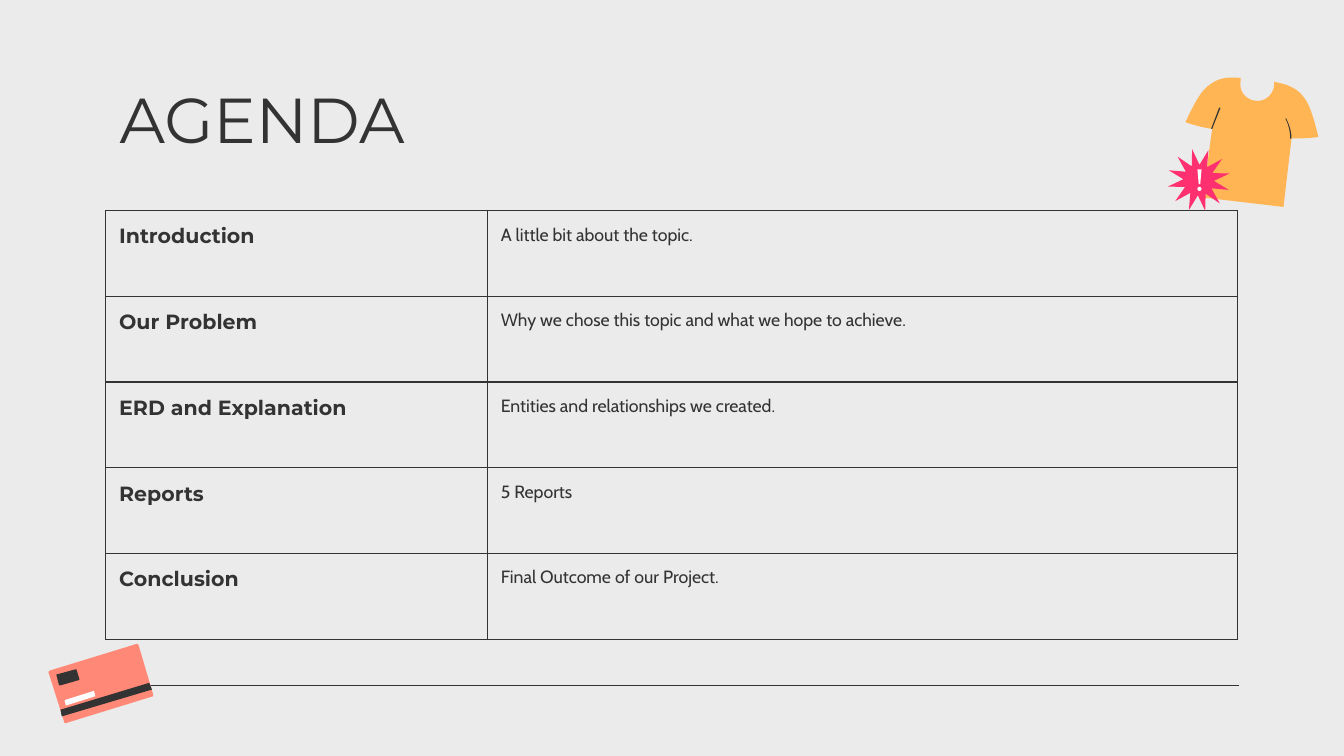
"""Build the agenda slide: title, five-row table and shop drawings."""
from math import cos, radians, sin

from lxml import etree
from pptx import Presentation
from pptx.dml.color import RGBColor
from pptx.enum import shapes, text
from pptx.oxml import ns
from pptx.util import Pt

DARK = RGBColor(0x33, 0x33, 0x33)
PALE = RGBColor(0xEB, 0xEB, 0xEB)
GOLD = RGBColor(0xFF, 0xB5, 0x54)
PINK = RGBColor(0xFF, 0x30, 0x70)
CORAL = RGBColor(0xFF, 0x88, 0x76)
WHITE = RGBColor(0xFF, 0xFF, 0xFF)

HEAD = {"name": "Montserrat", "size": Pt(34), "bold": False}
TOPIC = {"name": "Montserrat", "size": Pt(11), "bold": True}
NOTE = {"name": "Cabin", "size": Pt(9.5), "bold": False}
PAD = Pt(7.2)

AGENDA = [
    ("Introduction", "A little bit about the topic."),
    ("Our Problem", "Why we chose this topic and what we hope to achieve."),
    ("ERD and Explanation", "Entities and relationships we created."),
    ("Reports", "5 Reports"),
    ("Conclusion", "Final Outcome of our Project."),
]

# A pair is a corner; six numbers are a curve: two handles and an end.
SHIRT = [
    (664.6, 41.8),
    (656.6, 41, 650.2, 41.8, 643.7, 49.7),
    (640.1, 54.7, 637.9, 59.8, 635, 65.5),
    (639.4, 67, 644.4, 68.4, 649.4, 69.1),
    (644.4, 105.8), (687.6, 110.9), (691.9, 74.2),
    (696.2, 74.2, 701.3, 74.2, 706.3, 73.4),
    (704.9, 67.7, 703.4, 61.9, 701.3, 56.9),
    (697, 47.5, 690.5, 45.4, 682.6, 43.9),
    (682.6, 46.1),
    (681.8, 51.1, 677.5, 54.7, 672.5, 54),
    (667.4, 53.3, 663.8, 49, 664.6, 43.9),
]
LEFT_SEAM = [(653.2, 57.6), (648.8, 69.1), (649.4, 69.1), (653.8, 58)]
RIGHT_SEAM = [
    (688.6, 63.4), (690.5, 67, 691.2, 70.6, 691.2, 74.2),
    (691.9, 74.2), (691.9, 69.8, 690.5, 66.2, 689, 63.4),
]
STEM = [(641.5, 90.7), (642.2, 98.6), (643, 98.6), (643.7, 90.7)]
CARD = [(73.4, 344.9), (26.6, 359.3), (25.9, 360), (34.6, 387.4),
        (35.3, 387.4), (82.1, 373), (82.1, 372.2), (74.2, 345.6)]
STRIPE = [(79.9, 365.8), (32.4, 380.2), (33.1, 383.8), (81.4, 369.4)]
CHIP = [(40.3, 358.6), (30.2, 361.4), (31.7, 367.2), (32.4, 367.2),
        (42.5, 364.3), (42.5, 363.6), (41, 358.6)]
LABEL = [(50.4, 370.1), (34.6, 375.1), (35.3, 378), (51.1, 373)]


def star(x, y, tips, outer, inner, turn=0):
    """Return the corners of a star; equal radii give a round dot."""
    step = 180 / tips
    return [(x + r * cos(a), y + r * sin(a))
            for i in range(2 * tips)
            for r, a in [((outer, inner)[i % 2], radians(turn + i * step))]]


def trace(path, steps=12):
    """Turn corners and curves into a list of points in EMU."""
    dots = []
    for part in path:
        if len(part) == 2:
            dots.append(part)
            continue
        pts = [dots[-1], part[:2], part[2:4], part[4:]]
        for i in range(1, steps + 1):
            t = i / steps
            mix = ((1 - t) ** 3, 3 * t * (1 - t) ** 2, 3 * t * t * (1 - t), t ** 3)
            dots.append(tuple(sum(m * p[k] for m, p in zip(mix, pts)) for k in (0, 1)))
    return [(Pt(x), Pt(y)) for x, y in dots]


def draw(group, color, *paths):
    """Add one filled outline made of closed paths."""
    first, *rest = [trace(path) for path in paths]
    pen = group.shapes.build_freeform(*first[0])
    pen.add_line_segments(first[1:])
    for dots in rest:
        pen.move_to(*dots[0])
        pen.add_line_segments(dots[1:])
    shape = pen.convert_to_shape()
    shape.shadow.inherit = False
    shape.fill.solid()
    shape.fill.fore_color.rgb = color
    shape.line.fill.background()


def write(frame, words, form):
    """Write left-aligned words in the given format."""
    frame.text = words
    para = frame.paragraphs[0]
    para.alignment = text.PP_ALIGN.LEFT
    font = para.runs[0].font
    for key, value in form.items():
        setattr(font, key, value)
    font.color.rgb = DARK


def pad(box):
    """Set equal margins on a cell or text frame and anchor it at the top."""
    for side in ("left", "top", "right", "bottom"):
        setattr(box, f"margin_{side}", PAD)
    box.vertical_anchor = text.MSO_ANCHOR.TOP


def border(cell):
    """Rule all four sides of a cell."""
    props = cell._tc.get_or_add_tcPr()
    for side in "LRTB":
        line = etree.SubElement(props, ns.qn(f"a:ln{side}"), w=str(Pt(0.75)))
        fill = etree.SubElement(line, ns.qn("a:solidFill"))
        etree.SubElement(fill, ns.qn("a:srgbClr"), val=str(DARK))


def add_title(slide):
    """Place the title."""
    title = slide.shapes.title
    title.left, title.top, title.width, title.height = Pt(56.9), Pt(35.6), Pt(607), Pt(45.4)
    write(title.text_frame, "AGENDA", HEAD)
    pad(title.text_frame)
    title.text_frame.auto_size = text.MSO_AUTO_SIZE.NONE


def add_rule(slide):
    """Draw the line at the foot."""
    rule = slide.shapes.add_connector(
        shapes.MSO_CONNECTOR.STRAIGHT, Pt(663.9), Pt(367.2), Pt(57.6), Pt(367.2))
    rule.line.color.rgb = DARK
    rule.line.width = Pt(0.75)
    etree.SubElement(rule._element.spPr, ns.qn("a:effectLst"))


def add_agenda(slide):
    """Add the table of topics and notes."""
    wide, high = (204.5, 401.9), 45.94
    table = slide.shapes.add_table(
        len(AGENDA), 2, Pt(56.6), Pt(112.8), Pt(sum(wide)), Pt(high * len(AGENDA))).table
    table.first_row = table.horz_banding = False
    for col, width in zip(table.columns, wide):
        col.width = Pt(width)
    for row, words in zip(table.rows, AGENDA):
        row.height = Pt(high)
        for cell, word, form in zip(row.cells, words, (TOPIC, NOTE)):
            write(cell.text_frame, word, form)
            pad(cell)
            border(cell)
            cell.fill.background()


def add_art(slide, *parts):
    """Group a drawing made of colours and their paths."""
    group = slide.shapes.add_group_shape()
    for color, *paths in parts:
        draw(group, color, *paths)


def main():
    """Build and save the slide."""
    deck = Presentation()
    deck.slide_width, deck.slide_height = Pt(720), Pt(405)
    slide = deck.slides.add_slide(deck.slide_layouts[5])
    slide.background.fill.solid()
    slide.background.fill.fore_color.rgb = PALE
    add_rule(slide)
    add_title(slide)
    add_agenda(slide)
    add_art(slide, (GOLD, SHIRT), (DARK, LEFT_SEAM), (DARK, RIGHT_SEAM))
    add_art(slide, (PINK, star(642.2, 96.5, 12, 16.9, 8.2, -102)),
            (WHITE, STEM, star(642.6, 101.2, 8, 1.1, 1.1)))
    add_art(slide, (CORAL, CARD), (DARK, STRIPE), (DARK, CHIP), (WHITE, LABEL))
    deck.save("out.pptx")


if __name__ == "__main__":
    main()
